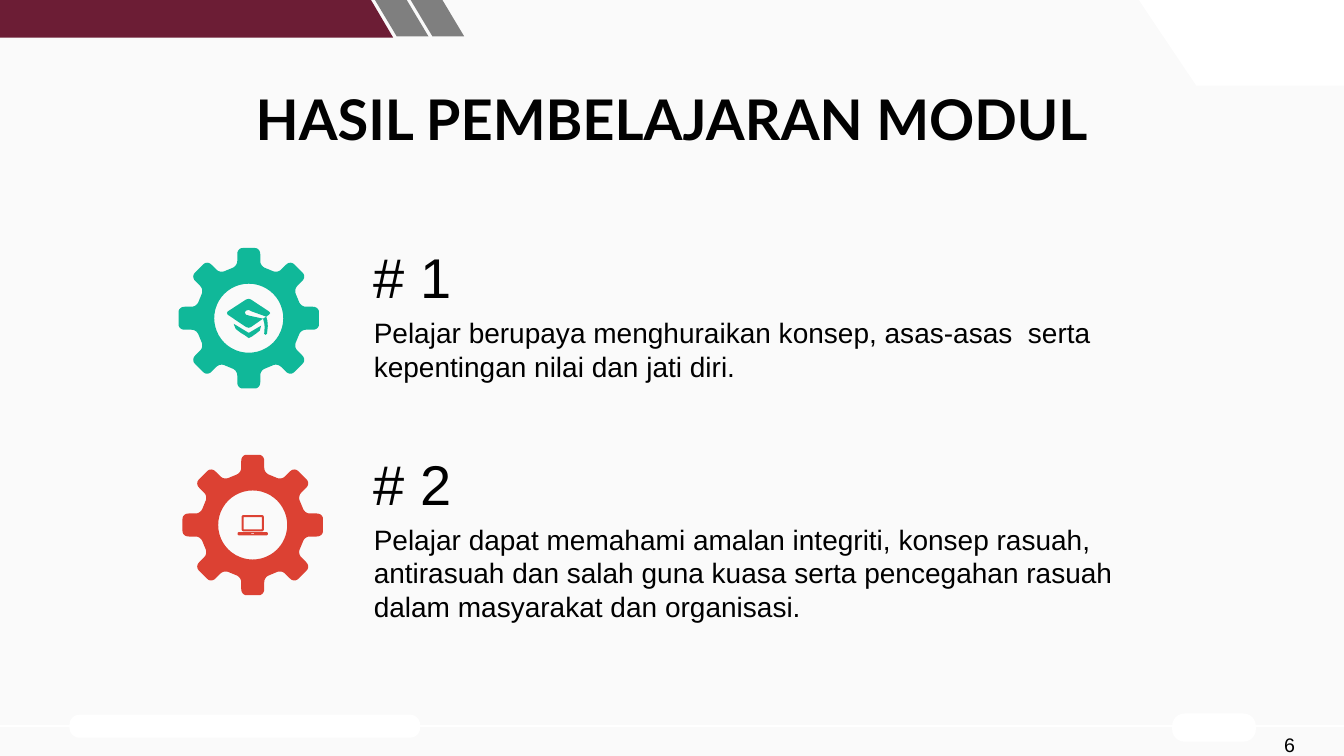
"""Builds the module learning outcomes slide with two gear-marked items."""
from dataclasses import dataclass
from math import cos, pi, sin

from lxml.etree import SubElement
from pptx import Presentation
from pptx.dml.color import RGBColor
from pptx.enum.shapes import MSO_CONNECTOR, MSO_SHAPE
from pptx.enum.text import MSO_ANCHOR, MSO_AUTO_SIZE, PP_ALIGN
from pptx.oxml.ns import qn
from pptx.util import Cm, Pt

Point = tuple[float, float]
Contour = list[Point]

WHITE = RGBColor(0xFF, 0xFF, 0xFF)
BLACK = RGBColor(0x00, 0x00, 0x00)
INK = RGBColor(0x01, 0x01, 0x01)
PAPER = RGBColor(0xFA, 0xFA, 0xFA)
MAROON = RGBColor(0x6C, 0x1D, 0x35)
GREY = RGBColor(0x7F, 0x7F, 0x7F)
TEAL = RGBColor(0x10, 0xB8, 0x99)
RED = RGBColor(0xDC, 0x41, 0x33)

WIDTH, HEIGHT = 33.87, 19.05
TEXT_LEFT = 9.27
TEETH = 8
HOLE_RADIUS = 0.87


@dataclass
class Band:
    """A filled polygon of the frame."""
    points: Contour
    color: RGBColor


@dataclass
class Pill:
    """A rounded footer plate."""
    left: float
    top: float
    width: float
    height: float


@dataclass
class Outcome:
    """A learning outcome with its gear and icon."""
    heading: str
    body: str
    top: float
    body_height: float
    gear_x: float
    color: RGBColor
    icon: list[Contour]


def bezier(a: Point, b: Point, c: Point, d: Point, steps: int = 6) -> Contour:
    """Return points along a cubic curve."""
    ts = [i / steps for i in range(steps + 1)]
    return [tuple((1 - t) ** 3 * p + 3 * t * (1 - t) ** 2 * q + 3 * t * t * (1 - t) * r + t ** 3 * s
                  for p, q, r, s in zip(a, b, c, d)) for t in ts]


def arc(x: float, y: float, radius: float, start: float, sweep: float, steps: int) -> Contour:
    """Return points along a circular arc."""
    angles = [start + sweep * i / steps for i in range(steps + 1)]
    return [(x + radius * cos(a), y + radius * sin(a)) for a in angles]


def rounded(left: float, top: float, right: float, bottom: float, radius: float) -> Contour:
    """Return the outline of a rounded rectangle."""
    corners = [(right - radius, bottom - radius), (left + radius, bottom - radius),
               (left + radius, top + radius), (right - radius, top + radius)]
    return [p for i, (x, y) in enumerate(corners) for p in arc(x, y, radius, i * pi / 2, pi / 2, 4)]


def gear() -> list[Contour]:
    """Return a gear outline and its hole, centred on the origin."""
    right = (bezier((0.15, -1.77), (0.23, -1.77), (0.29, -1.71), (0.29, -1.61))
             + bezier((0.29, -1.44), (0.29, -1.35), (0.36, -1.28), (0.43, -1.26)))
    tooth = [(-x, y) for x, y in reversed(right)] + right
    turns = [2 * pi * i / TEETH for i in range(TEETH)]
    rim = [(x * cos(a) - y * sin(a), x * sin(a) + y * cos(a)) for a in turns for x, y in tooth]
    return [rim, arc(0, 0, HOLE_RADIUS, 0, 2 * pi, 48)]


def paint(shape, color: RGBColor) -> None:
    """Give a shape a plain fill without line or shadow."""
    shape.shadow.inherit = False
    shape.fill.solid()
    shape.fill.fore_color.rgb = color
    shape.line.fill.background()


def add_outline(shapes, contours: list[Contour], color: RGBColor, x: float = 0, y: float = 0) -> None:
    """Draw closed contours as one freeform, moved by x and y."""
    placed = [[(Cm(x + px), Cm(y + py)) for px, py in c] for c in contours]
    builder = shapes.build_freeform(*placed[0][0])
    builder.add_line_segments(placed[0][1:])
    for contour in placed[1:]:
        builder.move_to(*contour[0])
        builder.add_line_segments(contour[1:])
    paint(builder.convert_to_shape(), color)


def write(shape, text: str, *, size: float, font: str = "Arial", color: RGBColor = BLACK,
          bold: bool = False, align: PP_ALIGN = PP_ALIGN.LEFT, anchor: MSO_ANCHOR = MSO_ANCHOR.TOP,
          inset: tuple[float, float] = (0.15, 0.15), spacing: float = 1.0,
          autosize: MSO_AUTO_SIZE = MSO_AUTO_SIZE.NONE) -> None:
    """Put formatted text into a shape."""
    tf = shape.text_frame
    tf.word_wrap = True
    tf.auto_size = autosize
    tf.vertical_anchor = anchor
    tf.margin_left = tf.margin_right = Cm(inset[0])
    tf.margin_top = tf.margin_bottom = Cm(inset[1])
    p = tf.paragraphs[0]
    p.alignment, p.line_spacing = align, spacing
    r = p.add_run()
    r.text = text
    r.font.name, r.font.size, r.font.bold = font, Pt(size), bold
    r.font.color.rgb = color


def add_text(s, box: tuple[float, float, float, float], text: str, **style) -> None:
    """Add a text box with formatted text."""
    write(s.shapes.add_textbox(*map(Cm, box)), text, **style)


def add_frame(s) -> None:
    """Draw the corner bands, footer line and footer plates."""
    pills = [Pill(1.75, 18.01, 8.84, 0.58), Pill(29.54, 17.98, 2.11, 0.71)]
    line = s.shapes.add_connector(MSO_CONNECTOR.STRAIGHT, 0, Cm(18.29), Cm(WIDTH), Cm(18.29))
    line.line.color.rgb = WHITE
    line.line.width = Pt(1.5)
    SubElement(line._element.spPr, qn("a:effectLst"))
    for pill in pills:
        plate = s.shapes.add_shape(MSO_SHAPE.ROUNDED_RECTANGLE, Cm(pill.left), Cm(pill.top),
                                   Cm(pill.width), Cm(pill.height))
        plate.adjustments[0] = 0.44
        paint(plate, WHITE)
    bands = [Band([(28.7, 0), (WIDTH, 0), (WIDTH, 2.16), (30.15, 2.16)], WHITE),
             Band([(0, 0), (9.35, 0), (9.91, 0.95), (0, 0.95)], MAROON)]
    bands += [Band([(x, 0), (x + 0.8, 0), (x + 1.35, 0.92), (x + 0.55, 0.92)], GREY)
              for x in (9.45, 10.35)]
    for band in bands:
        add_outline(s.shapes, [band.points], band.color)


def add_outcome(s, item: Outcome) -> None:
    """Draw one outcome: gear, icon, heading and body."""
    group = s.shapes.add_group_shape()
    for contours in (gear(), item.icon):
        add_outline(group.shapes, contours, item.color, item.gear_x, item.top + 1.75)
    fit = MSO_AUTO_SIZE.SHAPE_TO_FIT_TEXT
    add_text(s, (TEXT_LEFT, item.top + 1.53, 19.48, item.body_height), item.body, size=20, autosize=fit)
    add_text(s, (TEXT_LEFT, item.top, 20.98, 1.68), item.heading, size=40, spacing=0.8,
             anchor=MSO_ANCHOR.MIDDLE, autosize=fit)


CAP = [
    [(0.39, 0.39), (0.42, 0.42), (0.46, 0.39), (0.48, 0.2), (0.47, 0.06), (0.44, -0.04),
     (0.36, 0.01), (0.39, 0.12), (0.4, 0.22)],
    [(0.51, -0.17), (0.06, -0.47), (0, -0.49), (-0.07, -0.47), (-0.53, -0.17), (-0.55, -0.13),
     (-0.53, -0.09), (-0.07, 0.22), (0, 0.24), (0.06, 0.22), (0.36, 0.01), (0.03, -0.06),
     (-0.07, -0.09), (-0.1, -0.14), (-0.07, -0.19), (0, -0.21), (0.08, -0.17), (0.44, -0.04),
     (0.51, -0.09), (0.54, -0.13)],
    [(-0.38, 0.14), (-0.33, 0.27), (-0.2, 0.37), (-0.1, 0.43), (0, 0.5), (0.08, 0.46),
     (0.18, 0.39), (0.28, 0.31), (0.31, 0.19), (0, 0.37)],
]
LAPTOP = [
    rounded(-0.28, -0.25, 0.28, 0.16, 0.05),
    rounded(-0.23, -0.2, 0.23, 0.11, 0.01),
    rounded(-0.38, 0.18, 0.38, 0.26, 0.03),
    rounded(-0.04, 0.2, 0.04, 0.22, 0.01),
]
OUTCOMES = [
    Outcome("# 1", "Pelajar berupaya menghuraikan konsep, asas-asas  serta kepentingan nilai dan jati diri.",
            6.27, 2.01, 6.27, TEAL, CAP),
    Outcome("# 2", "Pelajar dapat memahami amalan integriti, konsep rasuah, antirasuah dan salah guna kuasa "
            "serta pencegahan rasuah dalam masyarakat dan organisasi.",
            11.48, 2.84, 6.37, RED, LAPTOP),
]


def main() -> None:
    """Build and save the slide."""
    prs = Presentation()
    prs.slide_width, prs.slide_height = Cm(WIDTH), Cm(HEIGHT)
    s = prs.slides.add_slide(prs.slide_layouts[5])
    s.background.fill.solid()
    s.background.fill.fore_color.rgb = PAPER
    add_frame(s)
    title = s.shapes.title
    title.left, title.top, title.width, title.height = map(Cm, (5.23, 1.88, 23.39, 1.88))
    write(title, "HASIL PEMBELAJARAN MODUL", size=40, font="Lato", color=INK, bold=True,
          align=PP_ALIGN.CENTER, inset=(0.25, 0.25))
    for item in OUTCOMES:
        add_outcome(s, item)
    add_text(s, (32.11, 18.34, 1.75, 0.7), "6", size=14, inset=(0.25, 0.13))
    prs.save("out.pptx")


if __name__ == "__main__":
    main()
